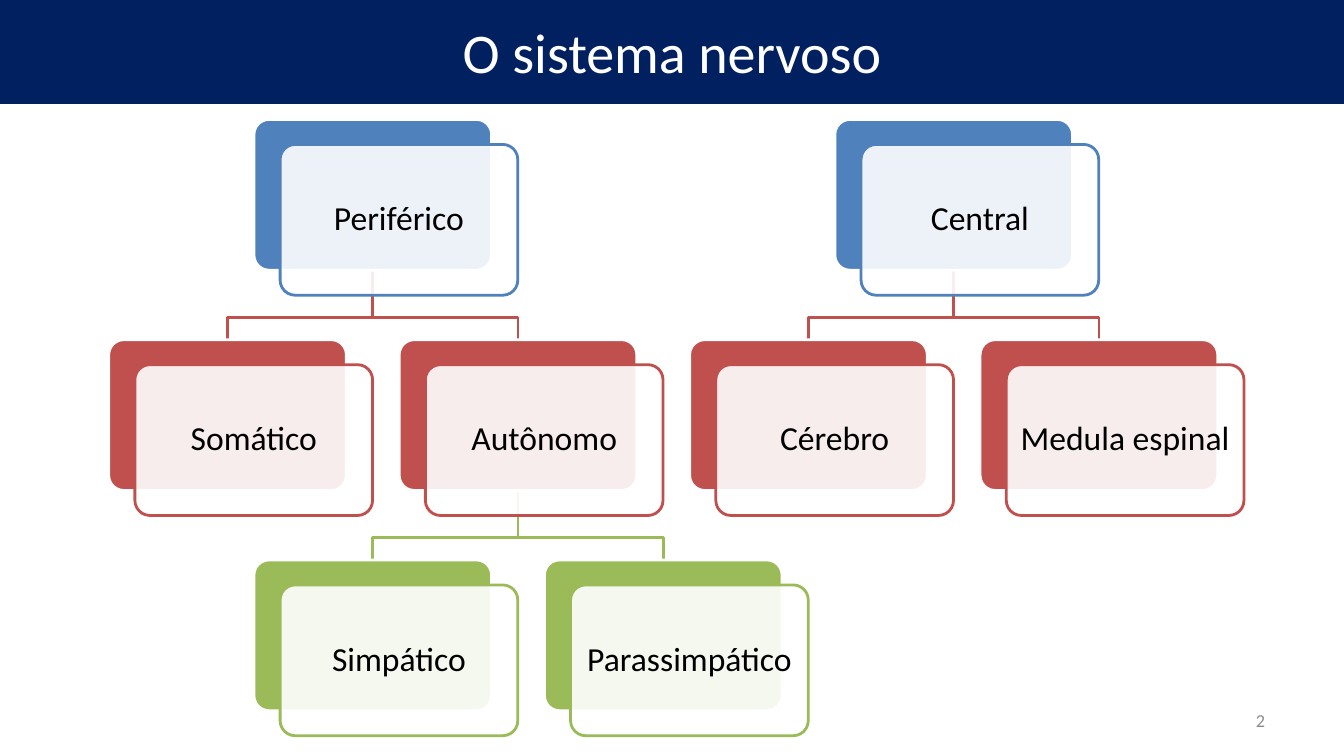
from lxml import etree
from pptx import Presentation
from pptx.dml.color import RGBColor
from pptx.enum.shapes import MSO_SHAPE
from pptx.enum.text import MSO_ANCHOR, PP_ALIGN
from pptx.oxml.ns import qn
from pptx.util import Cm, Pt

RECT = MSO_SHAPE.RECTANGLE
ROUND = MSO_SHAPE.ROUNDED_RECTANGLE
MIDDLE = MSO_ANCHOR.MIDDLE
CENTER = PP_ALIGN.CENTER
RIGHT = PP_ALIGN.RIGHT

NAVY, WHITE, BLACK, GRAY = "002060", "FFFFFF", "000000", "8C8C8C"
TINTS = ["4F81BD", "C0504D", "9BBB59"]
LEFT, TOP = 2.74, 3.01
STEP, DROP = 3.66, 5.55
WIDE, HIGH = 5.99, 3.8
RIGHT_SHIFT, DOWN_SHIFT = 0.66, 0.63
ELBOW = 1.19

NODES = {
    "Periférico": (1, 0),
    "Central": (5, 0),
    "Somático": (0, 1),
    "Autônomo": (2, 1),
    "Cérebro": (4, 1),
    "Medula espinal": (6, 1),
    "Simpático": (1, 2),
    "Parassimpático": (3, 2),
}
LINKS = [
    ("Central", "Medula espinal"),
    ("Central", "Cérebro"),
    ("Autônomo", "Parassimpático"),
    ("Autônomo", "Simpático"),
    ("Periférico", "Autônomo"),
    ("Periférico", "Somático"),
]


def color(code):
    return RGBColor.from_string(code)


def write(shape, text, size=24, ink=BLACK, align=CENTER, inset=0.25, space=1.0):
    frame = shape.text_frame
    frame.word_wrap = True
    frame.vertical_anchor = MIDDLE
    frame.margin_left = frame.margin_right = Cm(inset)
    frame.margin_top = frame.margin_bottom = Cm(inset / 2)
    para = frame.paragraphs[0]
    para.alignment = align
    para.line_spacing = space
    run = para.add_run()
    run.text = text
    run.font.name = "Calibri"
    run.font.size = Pt(size)
    run.font.color.rgb = color(ink)


def outline(shape, tint):
    shape.shadow.inherit = False
    shape.line.color.rgb = color(tint)
    shape.line.width = Pt(2)


def block(slide, kind, x, y, w, h, fill, line):
    shape = slide.shapes.add_shape(kind, Cm(x), Cm(y), Cm(w), Cm(h))
    shape.fill.solid()
    shape.fill.fore_color.rgb = color(fill)
    outline(shape, line)
    return shape


def fade(shape, share):
    fill = shape.fill._xPr.find(qn("a:solidFill"))
    etree.SubElement(fill[0], qn("a:alpha"), val=str(share * 1000))


def place(name):
    col, row = NODES[name]
    return LEFT + col * STEP, TOP + row * DROP


def card(slide, name):
    x, y = place(name)
    tint = TINTS[NODES[name][1]]
    back = block(slide, ROUND, x, y, WIDE, HIGH, tint, WHITE)
    front = block(slide, ROUND, x + RIGHT_SHIFT, y + DOWN_SHIFT, WIDE, HIGH, WHITE, tint)
    for shape in (back, front):
        shape.adjustments[0] = 0.1
    fade(front, 90)
    write(front, name, space=0.9)


def link(slide, upper, lower):
    x1, y1 = place(upper)
    x2, y2 = place(lower)
    x1, x2, y1 = x1 + WIDE / 2, x2 + WIDE / 2, y1 + HIGH
    bend = y1 + ELBOW
    path = slide.shapes.build_freeform(Cm(x1), Cm(y1))
    turns = [(x1, bend), (x2, bend), (x2, y2)]
    path.add_line_segments([(Cm(x), Cm(y)) for x, y in turns], close=False)
    shape = path.convert_to_shape()
    shape.fill.background()
    outline(shape, TINTS[NODES[lower][1]])


def main():
    deck = Presentation()
    deck.slide_width, deck.slide_height = Cm(33.87), Cm(19.05)
    slide = deck.slides.add_slide(deck.slide_layouts[6])

    number = slide.shapes.add_textbox(Cm(24.26), Cm(17.65), Cm(7.9), Cm(1.02))
    write(number, "2", size=13, ink=GRAY, align=RIGHT, inset=0.28)
    banner = block(slide, RECT, 0, 0, 33.87, 2.59, NAVY, NAVY)
    write(banner, "O sistema nervoso", size=40, ink=WHITE)

    for upper, lower in LINKS:
        link(slide, upper, lower)
    for name in NODES:
        card(slide, name)

    deck.save("out.pptx")


if __name__ == "__main__":
    main()
